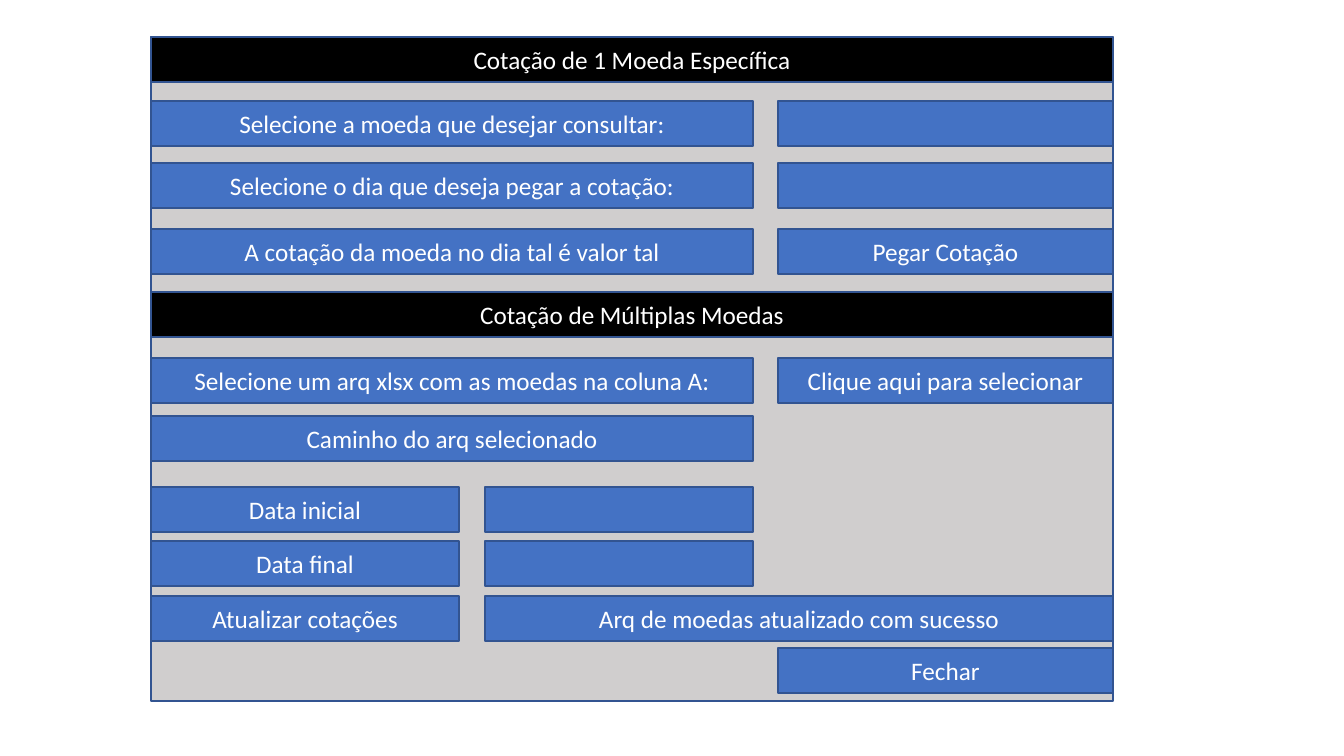
"""Build the currency quotation form mock-up slide."""
from dataclasses import dataclass

from pptx import Presentation
from pptx.dml.color import RGBColor
from pptx.enum.shapes import MSO_SHAPE as Shape
from pptx.enum.text import MSO_ANCHOR as Anchor, PP_ALIGN as Align
from pptx.util import Pt

SCALE = 914400 / 100.8


@dataclass(frozen=True)
class Theme:
    panel: str = "D0CECE"
    header: str = "000000"
    field: str = "4472C4"
    outline: str = "325491"
    text: str = "FFFFFF"
    font: str = "Calibri"
    size: int = 18


theme = Theme()


def emu(pixels):
    return round(pixels * SCALE)


def add_box(left, top, width, height, fill, text=""):
    box = page.shapes.add_shape(Shape.RECTANGLE, emu(left), emu(top), emu(width), emu(height))
    box.shadow.inherit = False
    box.fill.solid()
    box.fill.fore_color.rgb = RGBColor.from_string(fill)
    box.line.color.rgb = RGBColor.from_string(theme.outline)
    box.line.width = Pt(1)
    if text:
        frame = box.text_frame
        frame.text = text
        frame.word_wrap = True
        frame.vertical_anchor = Anchor.MIDDLE
        para = frame.paragraphs[0]
        para.alignment = Align.CENTER
        font = para.runs[0].font
        font.name = theme.font
        font.size = Pt(theme.size)
        font.color.rgb = RGBColor.from_string(theme.text)


deck = Presentation()
deck.slide_width, deck.slide_height = emu(1344), emu(756)
page = deck.slides.add_slide(deck.slide_layouts[6])

panel_left, panel_top, panel_width, panel_height = 151, 37, 962, 664
row_height = 45
panel_right = panel_left + panel_width
date_left, label_right, action_left = 485, 753, 778
short_label_right = 459

add_box(panel_left, panel_top, panel_width, panel_height, theme.panel)

headers = [
    (panel_top, "Cotação de 1 Moeda Específica"),
    (292, "Cotação de Múltiplas Moedas"),
]
for top, text in headers:
    add_box(panel_left, top, panel_width, row_height, theme.header, text)

label = (panel_left, label_right)
short_label = (panel_left, short_label_right)
date_entry = (date_left, label_right)
status = (date_left, panel_right)
action = (action_left, panel_right)

form_rows = [
    (101, [(label, "Selecione a moeda que desejar consultar:"), (action, "")]),
    (163, [(label, "Selecione o dia que deseja pegar a cotação:"), (action, "")]),
    (229, [(label, "A cotação da moeda no dia tal é valor tal"), (action, "Pegar Cotação")]),
    (358, [(label, "Selecione um arq xlsx com as moedas na coluna A:"),
           (action, "Clique aqui para selecionar")]),
    (416, [(label, "Caminho do arq selecionado")]),
    (487, [(short_label, "Data inicial"), (date_entry, "")]),
    (541, [(short_label, "Data final"), (date_entry, "")]),
    (596, [(short_label, "Atualizar cotações"), (status, "Arq de moedas atualizado com sucesso")]),
    (648, [(action, "Fechar")]),
]
for top, fields in form_rows:
    for (left, right), text in fields:
        add_box(left, top, right - left, row_height, theme.field, text)

deck.save("out.pptx")
